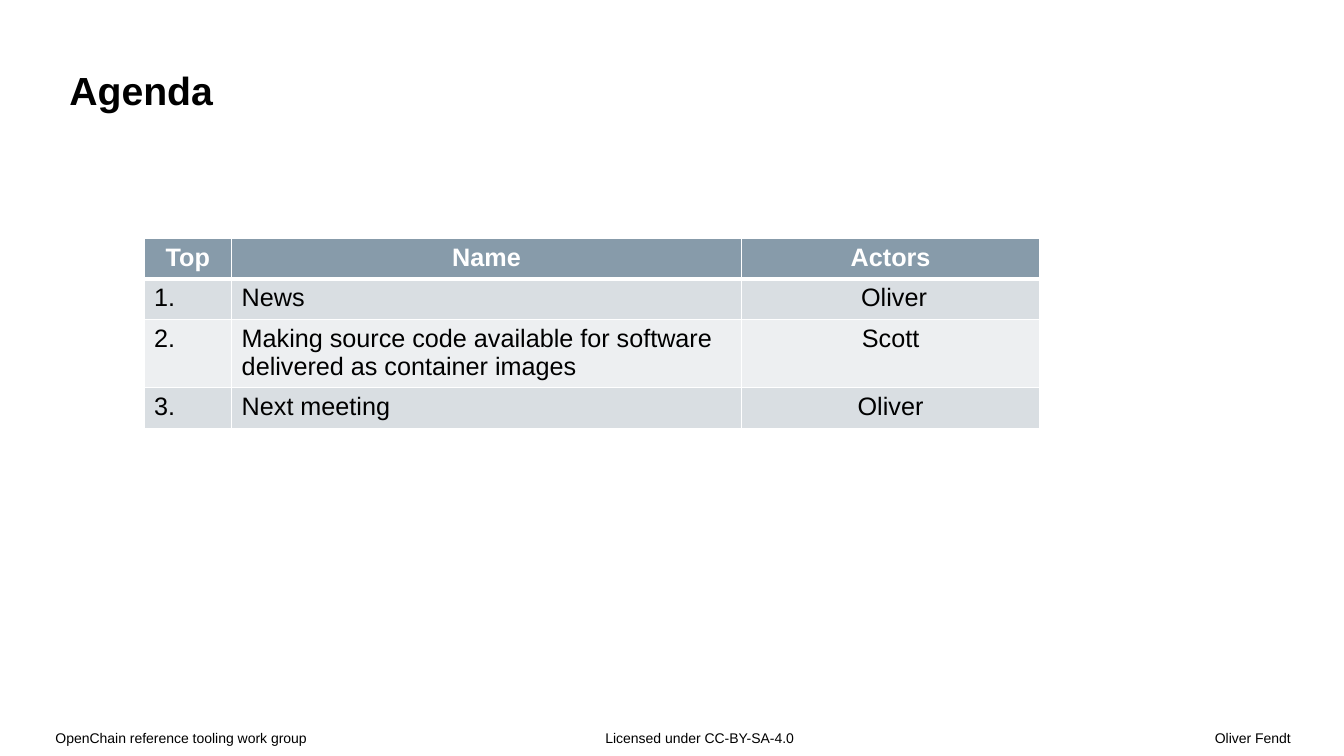
from dataclasses import dataclass

from pptx import Presentation
from pptx import util as u
from pptx.dml.color import RGBColor
from pptx.enum import text
from pptx.oxml.xmlchemy import OxmlElement

COLORS = {
    "text": "000000",
    "white": "FFFFFF",
    "header": "879BAA",
    "odd": "D9DEE2",
    "even": "EDEFF1",
}
LEFT, CENTER, RIGHT = text.PP_ALIGN.LEFT, text.PP_ALIGN.CENTER, text.PP_ALIGN.RIGHT


@dataclass
class FooterNote:
    words: str
    left: float
    width: float
    inset_left: float = 0
    inset_right: float = 0
    align: text.PP_ALIGN = LEFT


@dataclass
class AgendaRow:
    top: str
    name: str
    actors: str
    height: float = 1.03


FOOTER = [
    FooterNote("OpenChain reference tooling work group", 0.79, 8.64, inset_left=0.61),
    FooterNote("Licensed under CC-BY-SA-4.0", 13.51, 7.65, inset_left=1.75),
    FooterNote("Oliver Fendt", 10.52, 23.37, inset_right=1.35, align=RIGHT),
]
AGENDA = [
    AgendaRow("Top", "Name", "Actors"),
    AgendaRow("1.", "News", "Oliver"),
    AgendaRow("2.", "Making source code available for software delivered as container images",
              "Scott", 1.7),
    AgendaRow("3.", "Next meeting", "Oliver"),
]
COLUMN_WIDTHS = [2.21, 12.85, 7.52]


def write(tf, words: str, size: float, color: str = "text",
          bold: bool = False, align: text.PP_ALIGN = LEFT):
    p = tf.paragraphs[0]
    p.alignment = align
    r = p.add_run()
    r.text = words
    r.font.name = "Arial"
    r.font.size = u.Pt(size)
    r.font.bold = bold
    r.font.color.rgb = RGBColor.from_string(COLORS[color])
    return p


def set_insets(tf, left: float, top: float, right: float, bottom: float) -> None:
    tf.margin_left, tf.margin_top = u.Cm(left), u.Cm(top)
    tf.margin_right, tf.margin_bottom = u.Cm(right), u.Cm(bottom)
    tf.auto_size = text.MSO_AUTO_SIZE.NONE
    tf.word_wrap = True


def add_footer_note(s, note: FooterNote) -> None:
    sp = s.shapes.add_textbox(u.Cm(note.left), u.Cm(18.34), u.Cm(note.width), u.Cm(0.71))
    tf = sp.text_frame
    set_insets(tf, note.inset_left, 0, note.inset_right, 0.33)
    write(tf, note.words, 10, align=note.align).line_spacing = 1.1


def add_border(cell, side: str, points: float) -> None:
    ln = OxmlElement(f"a:ln{side}")
    ln.set("w", str(u.Pt(points)))
    fill = OxmlElement("a:solidFill")
    color = OxmlElement("a:srgbClr")
    color.set("val", COLORS["white"])
    fill.append(color)
    ln.append(fill)
    cell._tc.get_or_add_tcPr().append(ln)


def format_cell(cell, words: str, row: int, col: int) -> None:
    header = row == 0
    widths = {"L": 1, "R": 1, "T": 3 if row == 1 else 1, "B": 3 if header else 1}
    for side, points in widths.items():
        add_border(cell, side, points)
    band = "header" if header else "odd" if row % 2 else "even"
    cell.fill.solid()
    cell.fill.fore_color.rgb = RGBColor.from_string(COLORS[band])
    write(cell.text_frame, words, 18, "white" if header else "text", header,
          CENTER if header or col == 2 else LEFT)


def add_agenda(s) -> None:
    frame = s.shapes.add_table(
        len(AGENDA), len(COLUMN_WIDTHS), u.Cm(3.63), u.Cm(6),
        u.Cm(sum(COLUMN_WIDTHS)), u.Cm(sum(item.height for item in AGENDA)))
    table = frame.table
    for column, width in zip(table.columns, COLUMN_WIDTHS):
        column.width = u.Cm(width)
    for row, item in enumerate(AGENDA):
        table.rows[row].height = u.Cm(item.height)
        for col, words in enumerate((item.top, item.name, item.actors)):
            format_cell(table.cell(row, col), words, row, col)
    table.cell(1, 2).margin_left = u.Cm(0.43)


def add_title(s) -> None:
    sp = s.shapes.title
    sp.left, sp.top, sp.width, sp.height = u.Cm(0), u.Cm(0), u.Cm(33.88), u.Cm(3.53)
    tf = sp.text_frame
    set_insets(tf, 1.75, 1.09, 5.89, 0.66)
    tf.vertical_anchor = text.MSO_ANCHOR.BOTTOM
    write(tf, "Agenda", 28, bold=True)


def main() -> None:
    prs = Presentation()
    prs.slide_width, prs.slide_height = u.Cm(33.88), u.Cm(19.05)
    s = prs.slides.add_slide(prs.slide_layouts[5])
    for note in FOOTER:
        add_footer_note(s, note)
    add_title(s)
    add_agenda(s)
    prs.save("out.pptx")


if __name__ == "__main__":
    main()
